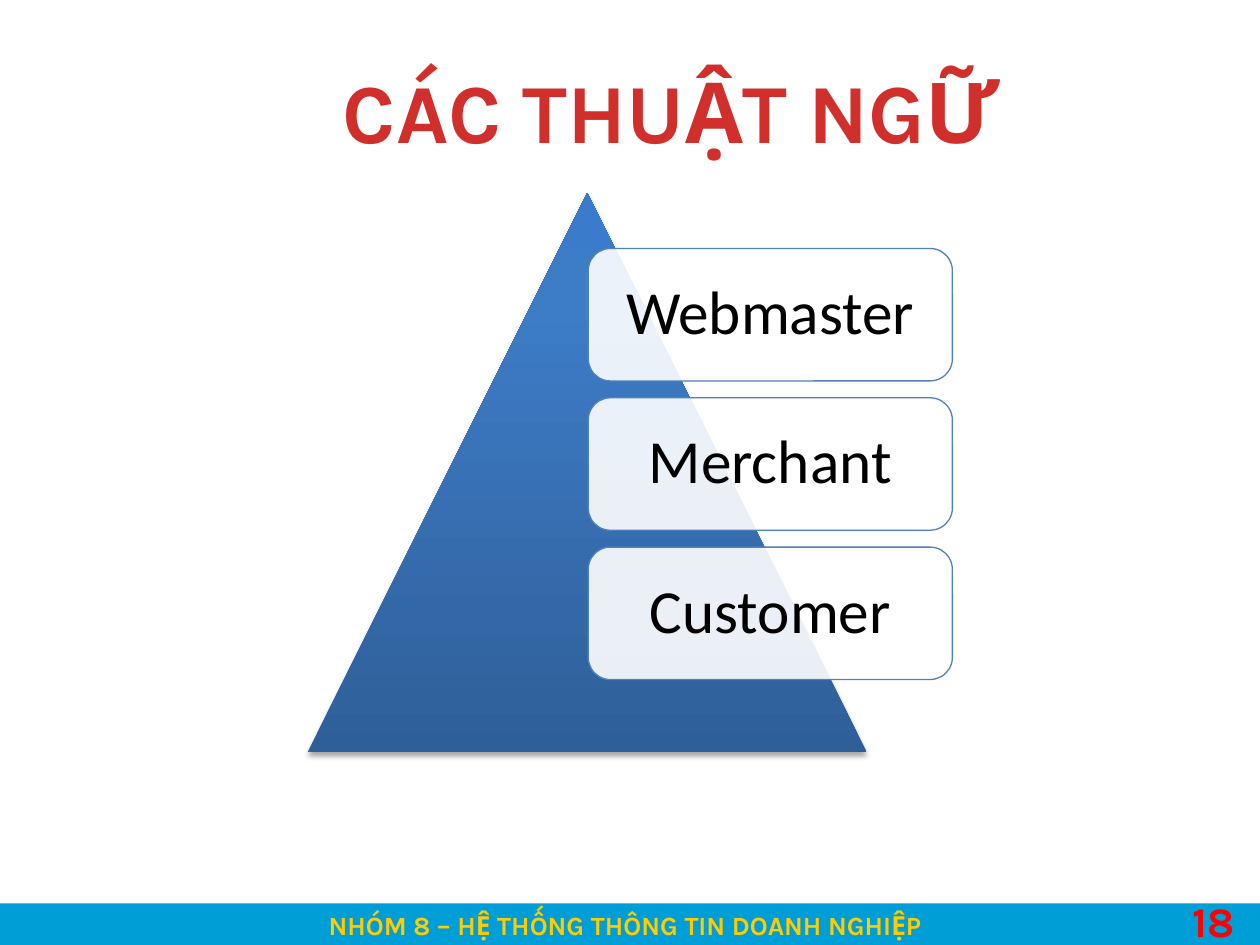
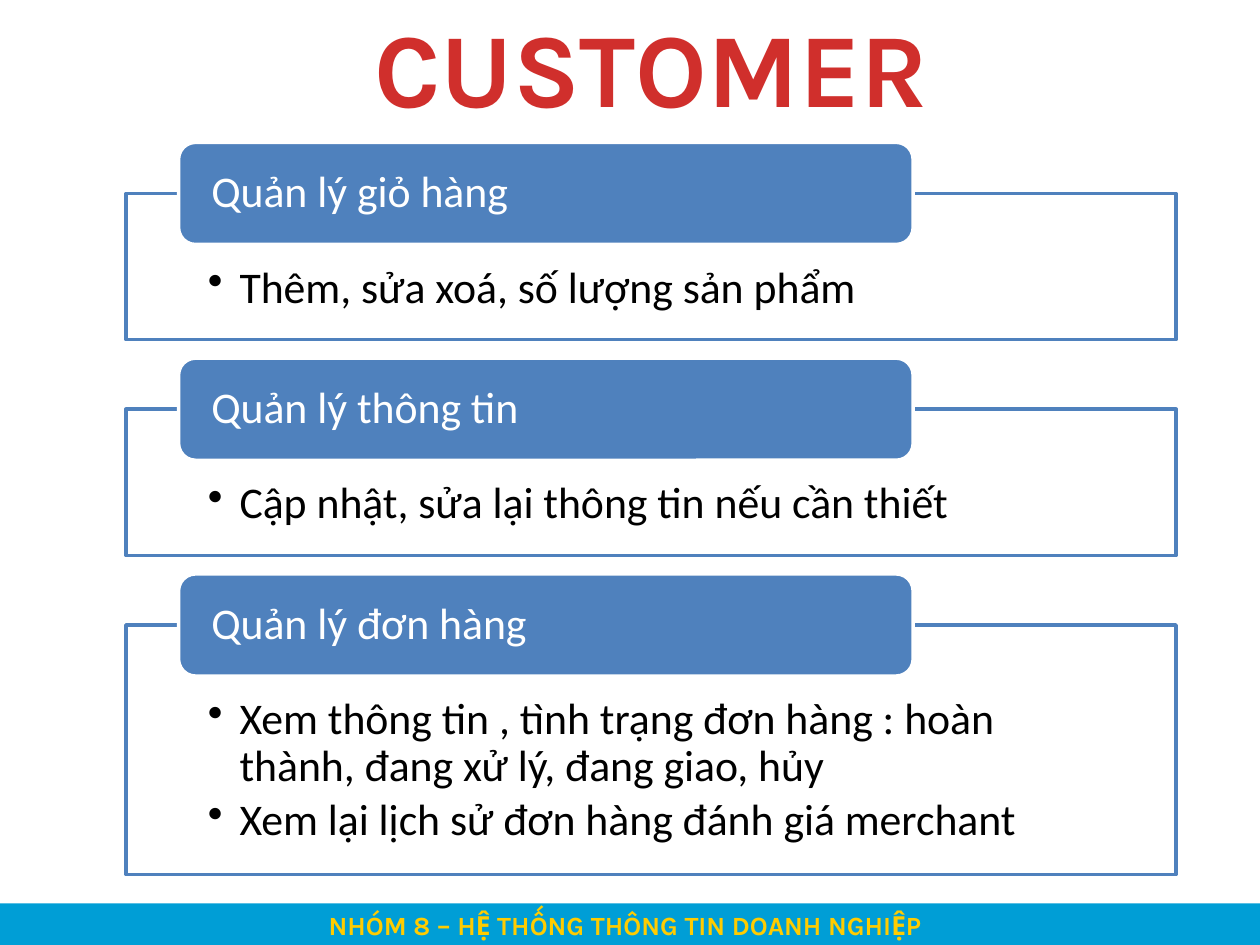
import pptx
import pptx.dml.color
import pptx.enum.shapes
import pptx.enum.text
import pptx.oxml
import pptx.oxml.ns
import pptx.util

Cm = pptx.util.Cm
Pt = pptx.util.Pt
SHAPE = pptx.enum.shapes.MSO_SHAPE
ALIGN = pptx.enum.text.PP_ALIGN
ANCHOR = pptx.enum.text.MSO_ANCHOR
qn = pptx.oxml.ns.qn

NAMESPACE = 'xmlns:a="http://schemas.openxmlformats.org/drawingml/2006/main"'
BLUE = "4F81BD"
WHITE = "FFFFFF"
BLACK = "000000"
TITLE_RED = "D02F2C"
BAND_BLUE = "009ED6"
BAND_YELLOW = "FFCC00"
NUMBER_RED = "FF0000"
FOOTER = "NHÓM 8 – HỆ THỐNG THÔNG TIN DOANH NGHIỆP"


def colour(code):
    return pptx.dml.color.RGBColor.from_string(code)


def write(box, lines, size, code, font="Calibri", bold=False, align=ALIGN.LEFT,
          anchor=ANCHOR.TOP, insets=(0.25, 0.13, 0.25, 0.13), spacing=0.9, bullet=False):
    frame = box.text_frame
    frame.word_wrap = True
    frame.vertical_anchor = anchor
    frame.margin_left, frame.margin_top, frame.margin_right, frame.margin_bottom = map(Cm, insets)
    for index, line in enumerate(lines):
        para = frame.add_paragraph() if index else frame.paragraphs[0]
        para.alignment = align
        para.line_spacing = spacing
        if bullet:
            para.space_after = Pt(0.15 * size)
            properties = para._p.get_or_add_pPr()
            properties.set("marL", str(Cm(0.64)))
            properties.set("indent", str(Cm(-0.64)))
            properties.append(pptx.oxml.parse_xml(f'<a:buChar {NAMESPACE} char="•"/>'))
        span = para.add_run()
        span.text = line
        span.font.name = font
        span.font.size = Pt(size)
        span.font.bold = bold
        span.font.color.rgb = colour(code)


deck = pptx.Presentation()
deck.slide_width = Cm(25.4)
deck.slide_height = Cm(19.05)

titles = [
    ("CÁC THUẬT NGỮ", 48, 1.68, 1.07, 2.31),
    ("CUSTOMER", 60, 1.27, -0.08, 2.82),
]
pages = []
for title, size, left, top, height in titles:
    page = deck.slides.add_slide(deck.slide_layouts[6])
    pages.append(page)
    band = page.shapes.add_shape(SHAPE.RECTANGLE, Cm(-0.2), Cm(18.21), Cm(25.6), Cm(0.89))
    band.shadow.inherit = False
    band.fill.solid()
    band.fill.fore_color.rgb = colour(BAND_BLUE)
    band.line.fill.background()
    write(band, [FOOTER], 15, BAND_YELLOW, "Karla", True, ALIGN.CENTER, spacing=1.0)
    heading = page.shapes.add_textbox(Cm(left), Cm(top), Cm(23.72), Cm(height))
    write(heading, [title], size, TITLE_RED, "Karla", True, ALIGN.CENTER, spacing=1.0)

terms_page, customer_page = pages

number = terms_page.shapes.add_textbox(Cm(23.8), Cm(17.93), Cm(1.83), Cm(1.27))
write(number, ["18"], 24, NUMBER_RED, "Karla", True, spacing=1.0)

pyramid = terms_page.shapes.add_shape(
    SHAPE.ISOSCELES_TRIANGLE, Cm(6.2), Cm(3.89), Cm(11.28), Cm(11.28))
pyramid.line.fill.background()
stops = "".join(
    f'<a:gs pos="{position * 1000}"><a:srgbClr val="{code}"/></a:gs>'
    for position, code in [(0, "2F5F99"), (80, "3D7CC7"), (100, "3A7CCB")])
gradient = pptx.oxml.parse_xml(
    f'<a:gradFill {NAMESPACE} rotWithShape="1"><a:gsLst>{stops}</a:gsLst>'
    '<a:lin ang="16200000" scaled="0"/></a:gradFill>')
shadow = pptx.oxml.parse_xml(
    f'<a:effectLst {NAMESPACE}><a:outerShdw blurRad="{Pt(3.1)}" dist="{Pt(1.8)}" '
    'dir="5400000" rotWithShape="0"><a:srgbClr val="000000"><a:alpha val="35000"/>'
    '</a:srgbClr></a:outerShdw></a:effectLst>')
pyramid_properties = pyramid._element.spPr
pyramid_properties.find(qn("a:prstGeom")).addnext(gradient)
pyramid_properties.append(shadow)

translucent = []
for row, term in enumerate(["Webmaster", "Merchant", "Customer"]):
    card = terms_page.shapes.add_shape(
        SHAPE.ROUNDED_RECTANGLE, Cm(11.86), Cm(5.01 + 3.01 * row), Cm(7.34), Cm(2.67))
    card.line.width = Pt(0.75)
    write(card, [term], 35, BLACK, align=ALIGN.CENTER, anchor=ANCHOR.MIDDLE, insets=[0.38] * 4)
    translucent.append(card)

duties = [
    ("Quản lý giỏ hàng", 2.95, ["Thêm, sửa xoá, số lượng sản phẩm"]),
    ("Quản lý thông tin", 2.95, ["Cập nhật, sửa lại thông tin nếu cần thiết"]),
    ("Quản lý đơn hàng", 5.03, [
        "Xem thông tin , tình trạng đơn hàng : hoàn thành, đang xử lý, đang giao, hủy",
        "Xem lại lịch sử đơn hàng đánh giá merchant"]),
]
for row, (duty, height, details) in enumerate(duties):
    top = 3.9 + 4.35 * row
    panel = customer_page.shapes.add_shape(
        SHAPE.RECTANGLE, Cm(2.54), Cm(top), Cm(21.17), Cm(height))
    panel.line.width = Pt(2)
    write(panel, details, 25, BLACK, insets=(1.65, 1.45, 1.65, 0.48), bullet=True)
    translucent.append(panel)

    tab = customer_page.shapes.add_shape(
        SHAPE.ROUNDED_RECTANGLE, Cm(3.6), Cm(top - 1.03), Cm(14.81), Cm(2.06))
    tab.shadow.inherit = False
    tab.fill.solid()
    tab.fill.fore_color.rgb = colour(BLUE)
    tab.line.color.rgb = colour(WHITE)
    tab.line.width = Pt(2)
    write(tab, [duty], 25, WHITE, anchor=ANCHOR.MIDDLE, insets=(0.56, 0, 0.56, 0))

for box in translucent:
    box.shadow.inherit = False
    box.fill.solid()
    box.fill.fore_color.rgb = colour(WHITE)
    box.line.color.rgb = colour(BLUE)
    fill_colour = box._element.spPr.find(qn("a:solidFill")).find(qn("a:srgbClr"))
    fill_colour.append(pptx.oxml.parse_xml(f'<a:alpha {NAMESPACE} val="90000"/>'))

deck.save("out.pptx")
